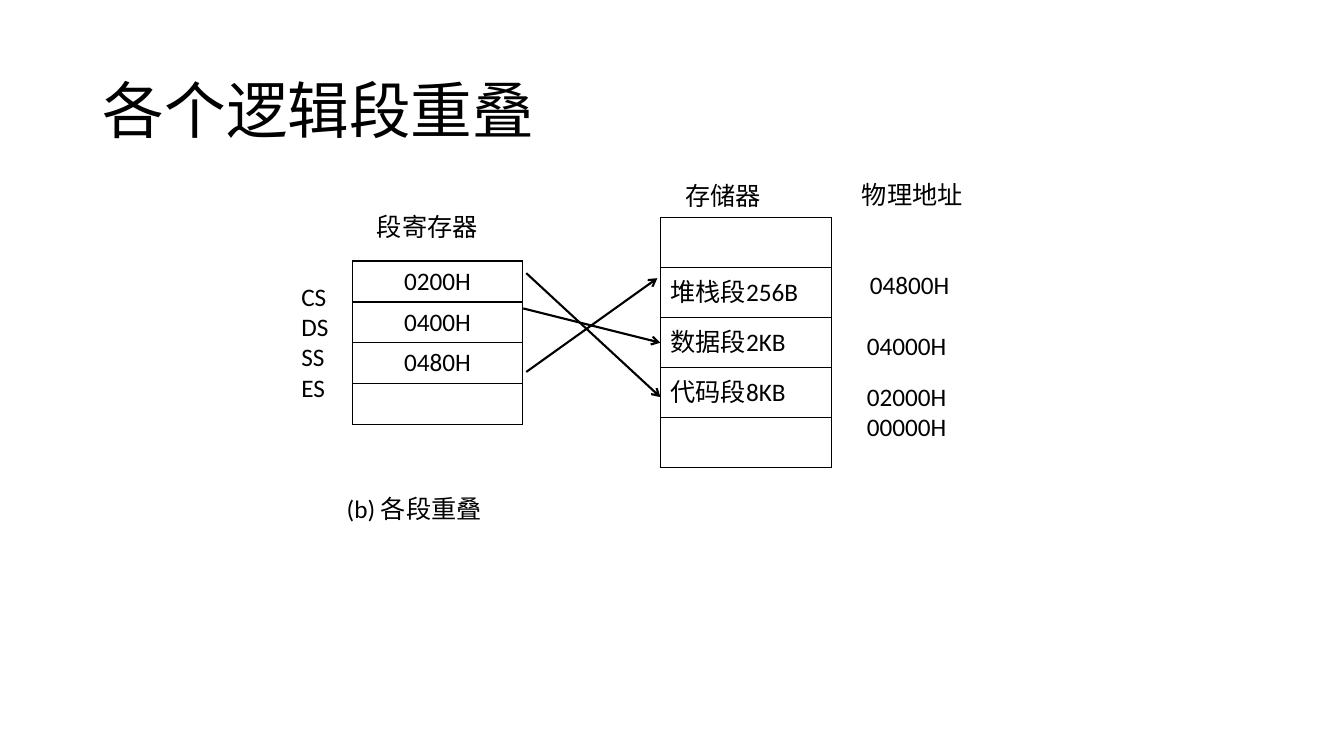
from dataclasses import dataclass

from lxml import etree
from pptx import Presentation
from pptx.dml.color import RGBColor
from pptx.enum.shapes import MSO_CONNECTOR as Connector
from pptx.enum.text import MSO_ANCHOR as Anchor, PP_ALIGN as Align
from pptx.oxml import parse_xml
from pptx.oxml.ns import nsdecls, qn
from pptx.util import Inches, Pt

# Content
TITLE = "各个逻辑段重叠"
MEMORY_ROWS = ["", "堆栈段256B", "数据段2KB", "代码段8KB", ""]
REGISTER_ROWS = ["0200H", "0400H", "0480H", ""]
# lines, left, top, width, height
LABELS = [
    (["段寄存器"], 3.64, 2.05, 1.55, 0.4),
    (["存储器"], 6.7, 1.74, 1.55, 0.4),
    (["物理地址"], 8.45, 1.73, 1.55, 0.4),
    (["02000H", "00000H"], 8.5, 3.73, 1.55, 0.71),
    (["04800H"], 8.53, 2.62, 1.55, 0.4),
    (["04000H"], 8.5, 3.23, 1.55, 0.4),
    (["CS", "DS", "SS", "ES"], 2.89, 2.74, 0.71, 1.31),
    (["(b) 各段重叠"], 3.34, 4.84, 2.02, 0.4),
]
CODE_ARROW = (5.22, 2.71, 6.55, 3.94)
DATA_ARROW = (5.19, 3.06, 6.55, 3.4)
STACK_ARROW = (5.22, 3.69, 6.52, 2.76)


@dataclass(frozen=True)
class Theme:
    font: str = "Calibri"
    ink: RGBColor = RGBColor(0, 0, 0)
    title_size: int = 44
    body_size: int = 18
    border_width: float = 1
    arrow_width: float = 1.5


THEME = Theme()


def write(frame, lines, size=THEME.body_size, align=Align.LEFT, spacing=None):
    """Fill a text frame with one paragraph per line."""
    for index, line in enumerate(lines):
        paragraph = frame.add_paragraph() if index else frame.paragraphs[0]
        paragraph.text = line
        paragraph.alignment = align
        paragraph.line_spacing = spacing
        font = paragraph.font
        font.name, font.size, font.bold = THEME.font, Pt(size), False
        font.color.rgb = THEME.ink


def add_borders(cell):
    properties = cell._tc.get_or_add_tcPr()
    for position, side in enumerate(("lnL", "lnR", "lnT", "lnB")):
        border = parse_xml(
            f'<a:{side} {nsdecls("a")} w="{Pt(THEME.border_width)}">'
            f'<a:solidFill><a:srgbClr val="{THEME.ink}"/></a:solidFill></a:{side}>')
        properties.insert(position, border)


def add_column(slide, texts, left, top, width, height, align=Align.LEFT):
    """Draw a one-column table with equal rows."""
    frame = slide.shapes.add_table(
        len(texts), 1, Inches(left), Inches(top), Inches(width), Inches(height))
    table = frame.table
    table.first_row = table.horz_banding = False
    for row, text in zip(table.rows, texts):
        cell = row.cells[0]
        cell.fill.background()
        add_borders(cell)
        write(cell.text_frame, [text], align=align)
    return frame


def add_arrow(slide, ends):
    arrow = slide.shapes.add_connector(Connector.STRAIGHT, *map(Inches, ends))
    arrow.line.color.rgb = THEME.ink
    arrow.line.width = Pt(THEME.arrow_width)
    etree.SubElement(arrow.line._get_or_add_ln(), qn("a:tailEnd"), type="arrow")
    etree.SubElement(arrow._element.spPr, qn("a:effectLst"))
    return arrow


def main():
    presentation = Presentation()
    presentation.slide_width = Inches(13.33)
    presentation.slide_height = Inches(7.5)
    slide = presentation.slides.add_slide(presentation.slide_layouts[5])

    # Title
    title = slide.shapes.title
    title.left, title.top = Inches(0.92), Inches(0.4)
    title.width, title.height = Inches(11.5), Inches(1.45)
    title.text_frame.vertical_anchor = Anchor.MIDDLE
    write(title.text_frame, [TITLE], size=THEME.title_size, spacing=0.9)

    # Memory and segment registers
    memory = add_column(slide, MEMORY_ROWS, 6.55, 2.16, 1.7, 2.48)
    add_column(slide, REGISTER_ROWS, 3.5, 2.59, 1.68, 1.62, align=Align.CENTER)

    # Labels and addresses
    for lines, *box in LABELS:
        label = slide.shapes.add_textbox(*map(Inches, box))
        label.text_frame.word_wrap = True
        write(label.text_frame, lines)

    # Arrows from registers to segments
    add_arrow(slide, CODE_ARROW)
    add_arrow(slide, DATA_ARROW).end_connect(memory, 1)
    add_arrow(slide, STACK_ARROW)

    presentation.save("out.pptx")


if __name__ == "__main__":
    main()
